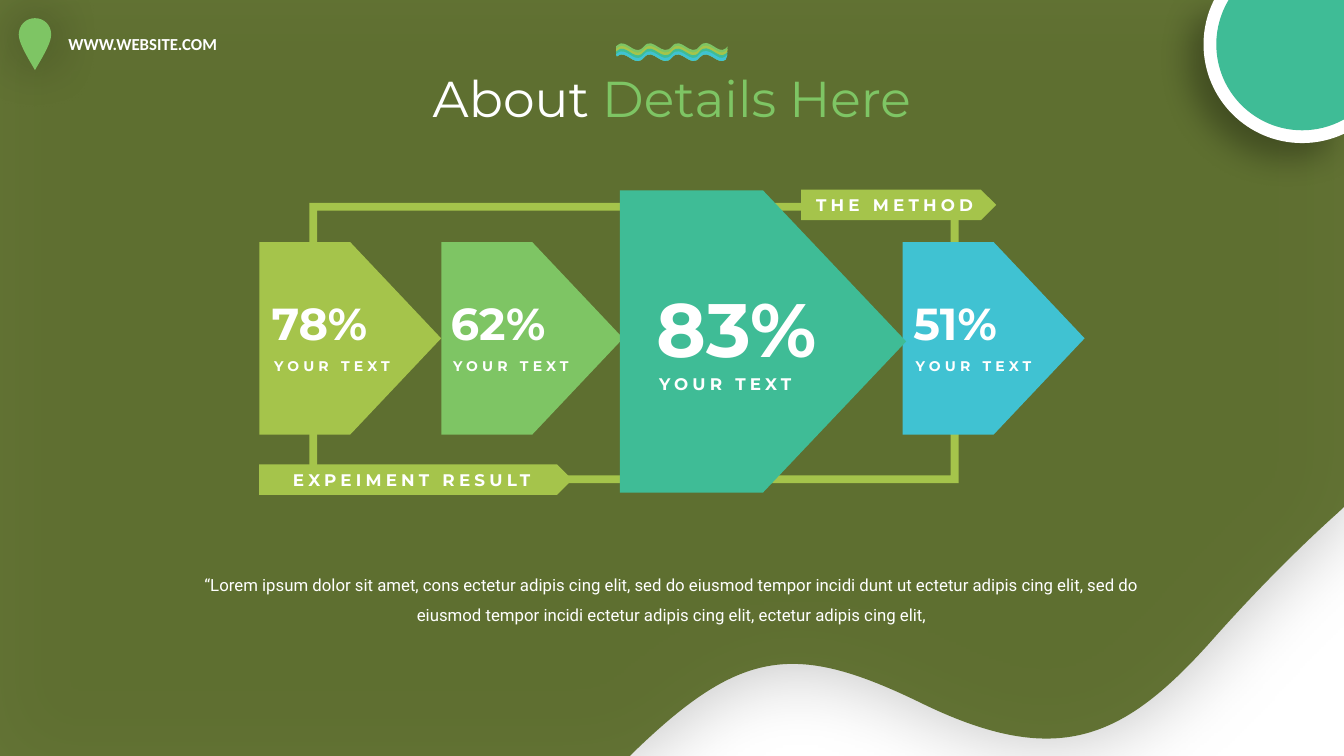
from math import acos, asin, cos, pi, sin, tan
from lxml import etree
from pptx import Presentation
from pptx.dml.color import RGBColor
from pptx.enum.shapes import MSO_SHAPE as SHAPE
from pptx.enum.text import MSO_ANCHOR as ANCHOR, MSO_AUTO_SIZE as AUTO, PP_ALIGN as ALIGN
from pptx.oxml import parse_xml
from pptx.oxml.ns import qn
from pptx.util import Pt

COLORS = {"olive": "546621", "lime": "A5C44B", "green": "7EC564",
          "teal": "3FBC96", "blue": "40C2D2", "white": "FFFFFF"}
NS = "http://schemas.openxmlformats.org/drawingml/2006/main"
W, H = 960, 540

prs = Presentation()
prs.slide_width, prs.slide_height = Pt(W), Pt(H)
slide = prs.slides.add_slide(prs.slide_layouts[5])
shapes = slide.shapes
title = shapes.title


def outline(color, start, segments):
    """Filled closed outline; pairs are line ends, sextuples Bézier curves."""
    builder = shapes.build_freeform(Pt(start[0]), Pt(start[1]))
    builder.add_line_segments([(Pt(s[-2]), Pt(s[-1])) for s in segments], close=True)
    sp = builder.convert_to_shape()
    for line, seg in zip(list(sp.element.iter(qn("a:lnTo"))), segments):
        if len(seg) == 6:
            curve = etree.Element(qn("a:cubicBezTo"))
            for x, y in (seg[:2], seg[2:4]):
                pt = etree.SubElement(curve, qn("a:pt"))
                pt.set("x", str(Pt(x) - sp.left))
                pt.set("y", str(Pt(y) - sp.top))
            curve.append(line[0])
            line.getparent().replace(line, curve)
    sp.shadow.inherit = False
    sp.fill.solid()
    sp.fill.fore_color.rgb = RGBColor.from_string(COLORS[color])
    sp.line.fill.background()
    return sp


def write(sp, runs, size, font="Montserrat", bold=True, spacing=0, align=ALIGN.LEFT, wrap=False):
    """Fill the first paragraph with (text, color) runs."""
    tf = sp.text_frame
    tf.word_wrap = wrap
    tf.auto_size = AUTO.NONE
    p = tf.paragraphs[0]
    p.alignment = align
    for text, color in runs:
        r = p.add_run()
        r.text = text
        r.font.name, r.font.size, r.font.bold = font, Pt(size), bold
        r.font.color.rgb = RGBColor.from_string(COLORS[color])
        if spacing:
            r.font._element.set("spc", str(spacing * 100))
    return p


# Backdrop with a wavy lower edge
backdrop = outline("olive", (0, 0), [
    (W, 0), (W, 362.2), (955.4, 366.5),
    (935.3, 384.5, 901.4, 416.9, 863.3, 460.1),
    (802.1, 527.8, 755.3, 549.4, 658.8, 502.6),
    (568.8, 458.6, 529.9, 463, 454.3, 535.7), (450, H), (0, H)])
title.element.addprevious(backdrop.element)
fill_color = backdrop.element.spPr.find(qn("a:solidFill"))[0]
etree.SubElement(fill_color, qn("a:alpha")).set("val", "90000")

# Location pin and web address
pin = outline("green", (25, 13), [
    (31.6, 13, 36.6, 18, 36.6, 24.8), (36.6, 32, 26.5, 47, 25, 50.2),
    (23.5, 47, 13.4, 32, 13.4, 24.8), (13.4, 18, 18.4, 13, 25, 13)])
website = shapes.add_textbox(Pt(41.8), Pt(20.9), Pt(182), Pt(21.8))
write(website, [("WWW.WEBSITE.COM", "white")], 12, font="Calibri", wrap=True)

# Corner disc, cut off by the slide edges
cx, cy = 930.2, 31.7
discs = []
for color, radius in (("white", 70.5), ("teal", 61.4)):
    angles = [acos((W - cx) / radius), pi / 2, pi, pi + asin(cy / radius)]
    arc = [(W, cy + radius * sin(angles[0]))]
    for a, b in zip(angles, angles[1:]):
        k = 4 / 3 * tan((b - a) / 4)
        arc.append((cx + radius * (cos(a) - k * sin(a)), cy + radius * (sin(a) + k * cos(a)),
                    cx + radius * (cos(b) + k * sin(b)), cy + radius * (sin(b) - k * cos(b)),
                    cx + radius * cos(b), cy + radius * sin(b)))
    discs.append(outline(color, (W, 0), arc))

# Soft shadows: opacity %, blur, distance, direction in degrees
for sp, opacity, blur, distance, angle in (
        (backdrop, 26, 57, 3, 45), (pin, 40, 38, 0, 0), (discs[0], 29, 23, 15, 135)):
    effects = sp.element.spPr.find(qn("a:effectLst"))
    effects.append(parse_xml(
        f'<a:outerShdw xmlns:a="{NS}" blurRad="{Pt(blur)}" dist="{Pt(distance)}" '
        f'dir="{angle * 60000}" algn="ctr" rotWithShape="0"><a:srgbClr val="000000">'
        f'<a:alpha val="{opacity * 1000}"/></a:srgbClr></a:outerShdw>'))

# Title
title.left, title.top, title.width, title.height = Pt(288.7), Pt(44.6), Pt(382.3), Pt(51)
title.text_frame.vertical_anchor = ANCHOR.TOP
write(title, [("About ", "white"), ("Details Here", "green")], 36, bold=False, align=ALIGN.CENTER)

# Waves above the title: each layer starts lower, all share one lower edge
wave_bottom = [
    (518.4, 42.5), (512.6, 47.5, 506.2, 33.8, 499.7, 41),
    (493.2, 49.7, 486.7, 33.1, 480, 41), (473, 49.7, 466.6, 33.1, 460.1, 41),
    (454.3, 48.2, 449.3, 38.2, 443.5, 38.9), (442.8, 38.9, 442, 39.6, 440.6, 40.3)]
for i, color in enumerate(("green", "lime", "teal", "blue")):
    y = 31 + 1.92 * i
    outline(color, (440, y + 2.1), [
        (442, y + 0.7, 442.8, y, 443.5, y),
        (449.3, y - 0.7, 454.3, y + 9.4, 460.1, y + 2.1),
        (466.6, y - 5.8, 473, y + 10.8, 480, y + 2.1),
        (486.7, y - 5.8, 493.2, y + 10.8, 499.7, y + 2.1),
        (506.2, y - 5.8, 512.6, y + 8.6, 518.4, y + 3.6),
        (519.8, y + 2.1)] + wave_bottom)

# Process frame, arrow cards and banners
cards = [
    ("lime", 185.2, 172.9, 129.9, 137.5), ("green", 315.2, 172.9, 129.9, 137.5),
    ("blue", 644.8, 172.9, 129.9, 137.5), ("teal", 442.8, 136, 204.5, 215.8)]
banners = [("EXPEIMENT RESULT", 185.2, 331.7, 223.6), ("THE METHOD", 572.2, 135.5, 139.4)]
blocks = [(SHAPE.FRAME, "lime", 221, 144.9, 463.7, 200.2)]
blocks += [(SHAPE.PENTAGON, *card) for card in cards]
blocks += [(SHAPE.PENTAGON, "lime", x, y, w, 21.8) for text, x, y, w in banners]
drawn = []
for kind, color, x, y, w, h in blocks:
    sp = shapes.add_shape(kind, Pt(x), Pt(y), Pt(w), Pt(h))
    sp.shadow.inherit = False
    sp.fill.solid()
    sp.fill.fore_color.rgb = RGBColor.from_string(COLORS[color])
    sp.line.fill.background()
    drawn.append(sp)
drawn[0].adjustments[0] = 0.028
for sp, banner in zip(drawn[-2:], banners):
    write(sp, [(banner[0], "white")], 12, spacing=3, align=ALIGN.CENTER, wrap=True)

# Figures: text, left, top, width, height, size; then label top, width, height, size
small, large = (252, 102.2, 19.4, 10), (263.5, 113.8, 21.8, 12)
for value, x, y, w, h, size, label in (
        ("78%", 187, 208, 84.2, 46, 32, small), ("62%", 314.8, 208, 82.8, 46, 32, small),
        ("51%", 645.3, 208, 74.9, 46, 32, small), ("83%", 462, 198, 130.3, 72.7, 54, large)):
    label_y, label_w, label_h, label_size = label
    box = shapes.add_textbox(Pt(x), Pt(y), Pt(w), Pt(h))
    write(box, [(value, "white")], size)
    box = shapes.add_textbox(Pt(x + 1.7), Pt(label_y), Pt(label_w), Pt(label_h))
    write(box, [("YOUR TEXT", "white")], label_size, spacing=3)

# Quote
quote = shapes.add_textbox(Pt(127.4), Pt(399.6), Pt(704.9), Pt(48.2))
p = write(quote, [(
    "“Lorem ipsum dolor sit amet, cons ectetur adipis cing elit, sed do eiusmod tempor "
    "incidi dunt ut ectetur adipis cing elit, sed do eiusmod tempor incidi ectetur adipis "
    "cing elit, ectetur adipis cing elit,", "white")],
    12, font="Roboto", bold=False, align=ALIGN.CENTER, wrap=True)
p.line_spacing = 1.5

prs.save("out.pptx")
